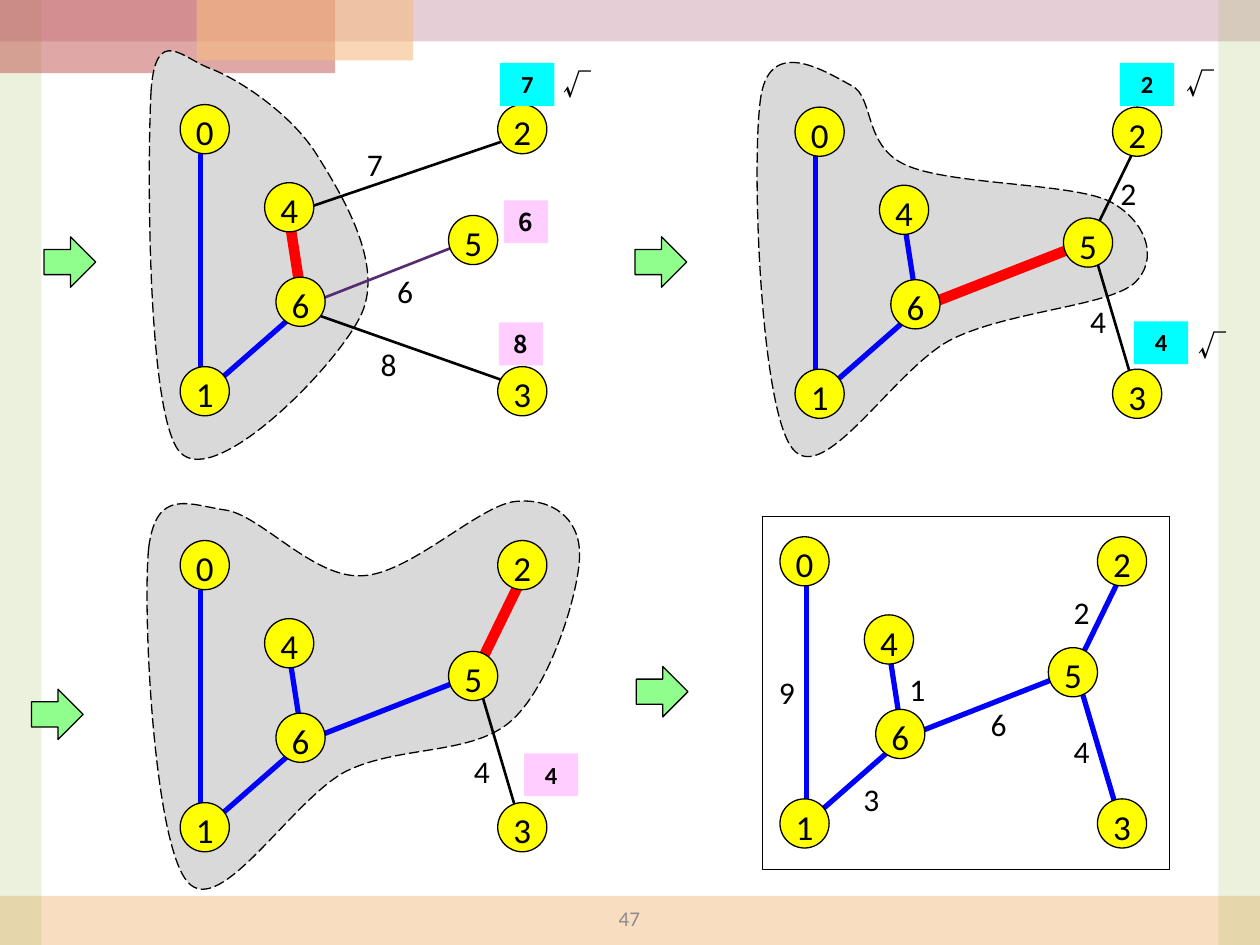
"""Builds a slide that traces a minimum spanning tree growing over four steps."""
from lxml import etree
from pptx import Presentation
from pptx.dml.color import RGBColor
from pptx.enum.dml import MSO_LINE
from pptx.enum.shapes import MSO_CONNECTOR, MSO_SHAPE
from pptx.enum.text import MSO_ANCHOR, MSO_AUTO_SIZE, PP_ALIGN
from pptx.oxml.ns import qn
from pptx.util import Inches, Pt

RECTANGLE, OVAL, ARROW = MSO_SHAPE.RECTANGLE, MSO_SHAPE.OVAL, MSO_SHAPE.RIGHT_ARROW
STRAIGHT, LONG_DASH = MSO_CONNECTOR.STRAIGHT, MSO_LINE.LONG_DASH
LEFT, CENTER = PP_ALIGN.LEFT, PP_ALIGN.CENTER
TOP, MIDDLE = MSO_ANCHOR.TOP, MSO_ANCHOR.MIDDLE
GROW, FIXED = MSO_AUTO_SIZE.SHAPE_TO_FIT_TEXT, MSO_AUTO_SIZE.NONE

BLACK = RGBColor(0x00, 0x00, 0x00)
BLUE = RGBColor(0x00, 0x00, 0xFF)
RED = RGBColor(0xFF, 0x00, 0x00)
PURPLE = RGBColor(0x56, 0x2B, 0x71)
YELLOW = RGBColor(0xFF, 0xFF, 0x00)
CYAN = RGBColor(0x00, 0xFF, 0xFF)
PINK = RGBColor(0xFF, 0xCD, 0xFF)
GREEN = RGBColor(0x8F, 0xFE, 0x8C)
LIGHT_GRAY = RGBColor(0xD9, 0xD9, 0xD9)
GRAY = RGBColor(0x8C, 0x8C, 0x8C)
PEACH = RGBColor(0xF5, 0xBC, 0x83)
ROSE = RGBColor(0xCC, 0x9E, 0xAC)
OLIVE = RGBColor(0x9B, 0xBB, 0x59)
BRICK = RGBColor(0xC0, 0x50, 0x4D)

LATIN, KOREAN = "Calibri", "Noto Sans CJK KR"
NODE_SIZE = 0.39

BANDS = [
    ((0, 7.11, 10, 0.39), PEACH, 50),
    ((0, 0, 10, 0.33), ROSE, 50),
    ((0, 0, 0.33, 7.5), OLIVE, 20),
    ((0, 0, 2.66, 0.58), BRICK, 50),
    ((1.56, 0, 1.72, 0.48), PEACH, 60),
    ((9.67, 0, 0.33, 7.5), OLIVE, 20),
]

REGIONS = [
    ((1.18, 4.35), [
        (1.13, 4.85, 1.22, 6.7, 1.49, 7), (1.75, 7.3, 2.32, 6.34, 2.75, 6.12),
        (3.18, 5.91, 3.76, 6, 4.07, 5.71), (4.38, 5.42, 4.6, 4.68, 4.6, 4.4),
        (4.6, 4.11, 4.38, 3.95, 4.09, 3.98), (3.8, 4.01, 3.25, 4.56, 2.87, 4.57),
        (2.49, 4.59, 2.08, 4.1, 1.8, 4.05), (1.51, 4.01, 1.24, 3.86, 1.18, 4.35)]),
    ((6.04, 0.76), [
        (5.96, 1.24, 6.03, 3.24, 6.29, 3.56), (6.54, 3.88, 7.11, 2.91, 7.56, 2.69),
        (8.01, 2.47, 8.79, 2.43, 9, 2.25), (9.2, 2.07, 9.11, 1.76, 8.81, 1.6),
        (8.51, 1.45, 7.54, 1.47, 7.19, 1.31), (6.85, 1.16, 6.94, 0.77, 6.76, 0.68),
        (6.57, 0.58, 6.12, 0.28, 6.04, 0.76)]),
    ((1.2, 0.71), [
        (1.17, 1.22, 1.16, 3.3, 1.43, 3.59), (1.71, 3.89, 2.69, 2.89, 2.87, 2.49),
        (3.05, 2.09, 2.71, 1.54, 2.51, 1.22), (2.3, 0.89, 1.88, 0.62, 1.66, 0.54),
        (1.45, 0.46, 1.24, 0.2, 1.2, 0.71)]),
]

NODES = {"0": (0, 0), "2": (2.52, 0), "5": (2.13, 0.88), "1": (0, 2.08),
         "4": (0.67, 0.62), "6": (0.76, 1.37), "3": (2.52, 2.08)}
EDGES = {
    "0-1": ((0.16, 0.39), (0.16, 2.08)),
    "0-1 shifted": ((0.21, 0.17), (0.21, 2.08)),
    "1-6": ((0.25, 2.24), (0.98, 1.6)),
    "4-6": ((0.86, 0.87), (0.97, 1.58)),
    "4-2": ((0.86, 0.87), (2.74, 0.23)),
    "6-3": ((0.92, 1.61), (2.65, 2.22)),
    "6-5": ((0.92, 1.62), (2.35, 1.06)),
    "5-3": ((2.37, 1.14), (2.69, 2.22)),
    "5-2": ((2.34, 1.06), (2.75, 0.22)),
}
TREE, NEWEST, CANDIDATE, PURPLE_CANDIDATE = (BLUE, 3), (RED, 6), (BLACK, 1.5), (PURPLE, 1.5)
STEPS = [
    ((1.43, 0.83),
     {"4-6": NEWEST, "6-3": CANDIDATE, "6-5": PURPLE_CANDIDATE, "1-6": TREE,
      "4-2": CANDIDATE, "0-1": TREE},
     [("8", 2.81, 2.69, 0.55), ("7", 2.7, 1.1, 0.55), ("6", 2.94, 2.11, 0.55)]),
    ((6.31, 0.85),
     {"4-6": TREE, "5-3": CANDIDATE, "6-5": NEWEST, "1-6": TREE, "5-2": CANDIDATE, "0-1": TREE},
     [("4", 8.44, 2.35, 0.55), ("2", 8.79, 1.33, 0.33)]),
    ((1.43, 4.29),
     {"4-6": TREE, "5-3": CANDIDATE, "6-5": TREE, "1-6": TREE, "5-2": NEWEST, "0-1": TREE},
     [("4", 3.55, 5.92, 0.55)]),
    ((6.19, 4.26),
     dict.fromkeys(["0-1 shifted", "4-6", "5-3", "6-5", "1-6", "5-2"], TREE),
     [("3", 6.74, 6.14, 0.35), ("4", 8.31, 5.76, 0.55), ("1", 7.12, 5.27, 0.26),
      ("2", 8.31, 4.66, 0.55), ("6", 7.65, 5.55, 0.55), ("9", 5.97, 5.29, 0.55)]),
]

KEYS = [
    ("7", (3.97, 0.5, 0.43, 0.34), CYAN, LATIN), ("6", (4, 1.59, 0.35, 0.34), PINK, KOREAN),
    ("8", (3.96, 2.56, 0.35, 0.34), PINK, KOREAN), ("2", (8.89, 0.5, 0.43, 0.34), CYAN, LATIN),
    ("4", (9, 2.55, 0.43, 0.34), CYAN, LATIN), ("4", (4.16, 5.98, 0.43, 0.34), PINK, LATIN),
]
CHECKS = [(4.37, 0.49), (9.32, 0.48), (9.41, 2.56)]
ARROWS = [(5.04, 1.88), (5.05, 5.29), (0.25, 5.47), (0.35, 1.88)]


def write_text(shape, text, size=18, font=LATIN, color=BLACK, bold=False,
               align=CENTER, anchor=TOP, fit=GROW):
    frame = shape.text_frame
    frame.word_wrap = True
    frame.auto_size = fit
    frame.vertical_anchor = anchor
    paragraph = frame.paragraphs[0]
    paragraph.alignment = align
    run = paragraph.add_run()
    run.text = text
    run.font.size = Pt(size)
    run.font.name = font
    run.font.bold = bold
    run.font.color.rgb = color


class GraphSlide:
    def __init__(self, slide):
        self.slide = slide
        self.shapes = slide.shapes

    def paint(self, shape, fill, line_width):
        shape.shadow.inherit = False
        if fill is None:
            shape.fill.background()
        else:
            shape.fill.solid()
            shape.fill.fore_color.rgb = fill
        if line_width:
            shape.line.color.rgb = BLACK
            shape.line.width = Pt(line_width)
        else:
            shape.line.fill.background()

    def block(self, kind, box, fill=None, line_width=0):
        shape = self.shapes.add_shape(kind, *map(Inches, box))
        self.paint(shape, fill, line_width)
        return shape

    def band(self, box, color, opacity):
        shape = self.block(RECTANGLE, box, color)
        fill_color = shape.fill._xPr.find(qn("a:solidFill"))[0]
        etree.SubElement(fill_color, qn("a:alpha")).set("val", str(opacity * 1000))

    def label(self, text, box, **style):
        write_text(self.shapes.add_textbox(*map(Inches, box)), text, **style)

    def region(self, start, curves):
        builder = self.shapes.build_freeform(*map(Inches, start))
        builder.add_line_segments([tuple(map(Inches, curve[4:])) for curve in curves])
        shape = builder.convert_to_shape()
        self.paint(shape, LIGHT_GRAY, 0.75)
        shape.line.dash_style = LONG_DASH
        segments = list(shape._element.iter(qn("a:lnTo")))
        for segment, curve in zip(segments, curves):
            bezier = etree.Element(qn("a:cubicBezTo"))
            for x, y in zip(curve[::2], curve[1::2]):
                point = etree.SubElement(bezier, qn("a:pt"))
                point.set("x", str(Inches(x) - shape.left))
                point.set("y", str(Inches(y) - shape.top))
            segment.getparent().replace(segment, bezier)

    def edge(self, origin, ends, color, width):
        points = [Inches(base + shift) for end in ends for base, shift in zip(origin, end)]
        line = self.shapes.add_connector(STRAIGHT, *points)
        line.line.color.rgb = color
        line.line.width = Pt(width)
        etree.SubElement(line._element.spPr, qn("a:effectLst"))

    def node(self, name, left, top):
        self.block(OVAL, (left, top, NODE_SIZE, NODE_SIZE), YELLOW, 0.75)
        self.label(name, (left, top, NODE_SIZE, 0.44), size=20)

    def step(self, origin, edges, weights):
        for name, style in edges.items():
            self.edge(origin, EDGES[name], *style)
        for name, (x, y) in NODES.items():
            self.node(name, origin[0] + x, origin[1] + y)
        for text, left, top, width in weights:
            self.label(text, (left, top, width, 0.4))


def main():
    presentation = Presentation()
    presentation.slide_width, presentation.slide_height = Inches(10), Inches(7.5)
    graph = GraphSlide(presentation.slides.add_slide(presentation.slide_layouts[6]))
    for band in BANDS:
        graph.band(*band)
    for region in REGIONS:
        graph.region(*region)
    for step in STEPS:
        graph.step(*step)
    graph.block(RECTANGLE, (6.05, 4.1, 3.23, 2.8), line_width=0.25)
    for text, box, fill, font in KEYS:
        write_text(graph.block(RECTANGLE, box, fill), text, size=14, font=font, bold=True)
    for left, top in CHECKS:
        graph.label("√", (left, top, 0.39, 0.38), size=16, font=KOREAN, bold=True, align=LEFT)
    for left, top in ARROWS:
        graph.block(ARROW, (left, top, 0.41, 0.4), GREEN, 0.75)
    graph.label("47", (3.83, 7.15, 2.33, 0.27), size=12, color=GRAY, anchor=MIDDLE, fit=FIXED)
    presentation.save("out.pptx")


if __name__ == "__main__":
    main()
